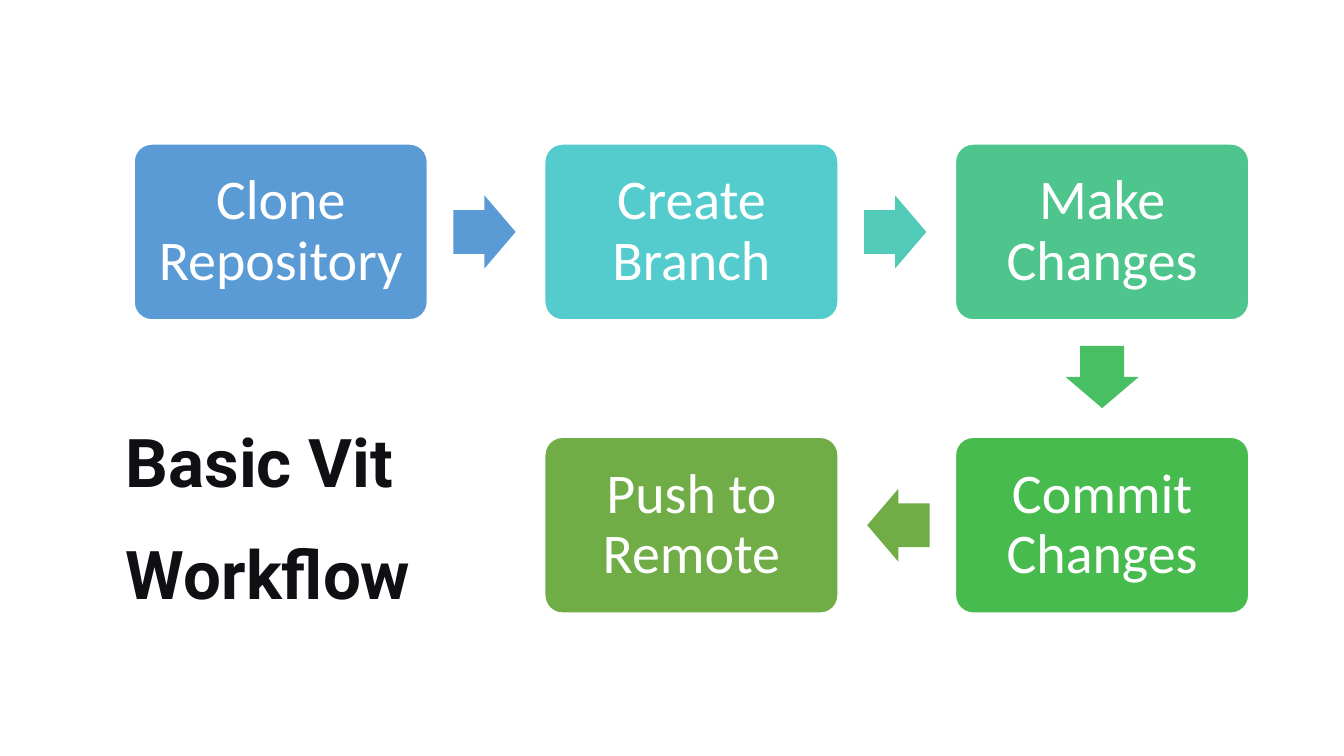
from dataclasses import dataclass

from pptx import Presentation
from pptx.dml.color import RGBColor
from pptx.enum.shapes import MSO_SHAPE
from pptx.enum.text import MSO_ANCHOR, MSO_AUTO_SIZE, PP_ALIGN
from pptx.util import Cm, Pt

ROUNDED, ARROW = MSO_SHAPE.ROUNDED_RECTANGLE, MSO_SHAPE.RIGHT_ARROW
TOP, MIDDLE = MSO_ANCHOR.TOP, MSO_ANCHOR.MIDDLE
LEFT, CENTER = PP_ALIGN.LEFT, PP_ALIGN.CENTER
NO_AUTOFIT = MSO_AUTO_SIZE.NONE


@dataclass(frozen=True)
class Theme:
    white: str = "FFFFFF"
    ink: str = "101014"
    steps: tuple = ("5B9BD5", "54CCCD", "4DC58D", "48BB4F", "70AD47")
    arrows: tuple = ("5B9BD5", "52CAB8", "49BF64", "70AD47")
    step_font: str = "Calibri"
    heading_font: str = "Roboto"
    step_size: int = 40
    heading_size: int = 48


theme = Theme()


def add_filled(kind, left, top, width, height, color):
    part = slide.shapes.add_shape(kind, Cm(left), Cm(top), Cm(width), Cm(height))
    part.shadow.inherit = False
    part.fill.solid()
    part.fill.fore_color.rgb = RGBColor.from_string(color)
    return part


def format_text(frame, frame_format, paragraph_format, font_format, color):
    for name, value in frame_format.items():
        setattr(frame, name, value)
    for paragraph in frame.paragraphs:
        for name, value in paragraph_format.items():
            setattr(paragraph, name, value)
        for run in paragraph.runs:
            for name, value in font_format.items():
                setattr(run.font, name, value)
            run.font.color.rgb = RGBColor.from_string(color)


deck = Presentation()
deck.slide_width, deck.slide_height = Cm(33.87), Cm(19.05)
slide = deck.slides.add_slide(deck.slide_layouts[5])

heading = slide.shapes.title
heading.left, heading.top = Cm(3.17), Cm(11.21)
heading.width, heading.height = Cm(8.86), Cm(4.23)
heading.text_frame.text = "Basic Vit\nWorkflow"
margins = ("margin_left", "margin_top", "margin_right", "margin_bottom")
format_text(
    heading.text_frame,
    dict.fromkeys(margins, 0)
    | {"word_wrap": True, "auto_size": NO_AUTOFIT, "vertical_anchor": TOP},
    {"alignment": LEFT, "line_spacing": Pt(40), "space_before": Pt(0)},
    {"name": theme.heading_font, "size": Pt(theme.heading_size), "bold": True},
    theme.ink,
)
heading.text_frame.paragraphs[1].space_before = Pt(40)

first_left, first_top = 3.38, 3.63
column_pitch, row_pitch = 10.35, 7.39
step_width, step_height = 7.39, 4.43
steps = [
    ("Clone Repository", 0, 0),
    ("Create Branch", 1, 0),
    ("Make Changes", 2, 0),
    ("Commit Changes", 2, 1),
    ("Push to Remote", 1, 1),
]
centers = []
for (label, column, row), color in zip(steps, theme.steps):
    left = first_left + column * column_pitch
    top = first_top + row * row_pitch
    centers.append((left + step_width / 2, top + step_height / 2))
    step = add_filled(ROUNDED, left, top, step_width, step_height, color)
    step.adjustments[0] = 0.1
    step.line.color.rgb = RGBColor.from_string(theme.white)
    step.line.width = Pt(1)
    step.text_frame.text = label
    format_text(
        step.text_frame,
        dict.fromkeys(margins, Cm(0.43))
        | {"word_wrap": True, "vertical_anchor": MIDDLE},
        {"alignment": CENTER, "line_spacing": 0.9},
        {"name": theme.step_font, "size": Pt(theme.step_size)},
        theme.white,
    )

arrow_length, arrow_breadth, arrow_setback = 1.57, 1.84, 0.04
directions = [(1, 0, 0), (1, 0, 0), (0, 1, 90), (-1, 0, 180)]
for start, end, (dx, dy, angle), color in zip(centers, centers[1:], directions, theme.arrows):
    center_x = (start[0] + end[0]) / 2 - dx * arrow_setback
    center_y = (start[1] + end[1]) / 2 - dy * arrow_setback
    arrow = add_filled(
        ARROW,
        center_x - arrow_length / 2,
        center_y - arrow_breadth / 2,
        arrow_length,
        arrow_breadth,
        color,
    )
    arrow.adjustments[0], arrow.adjustments[1] = 0.6, 0.5
    arrow.rotation = angle
    arrow.line.fill.background()

deck.save("out.pptx")
